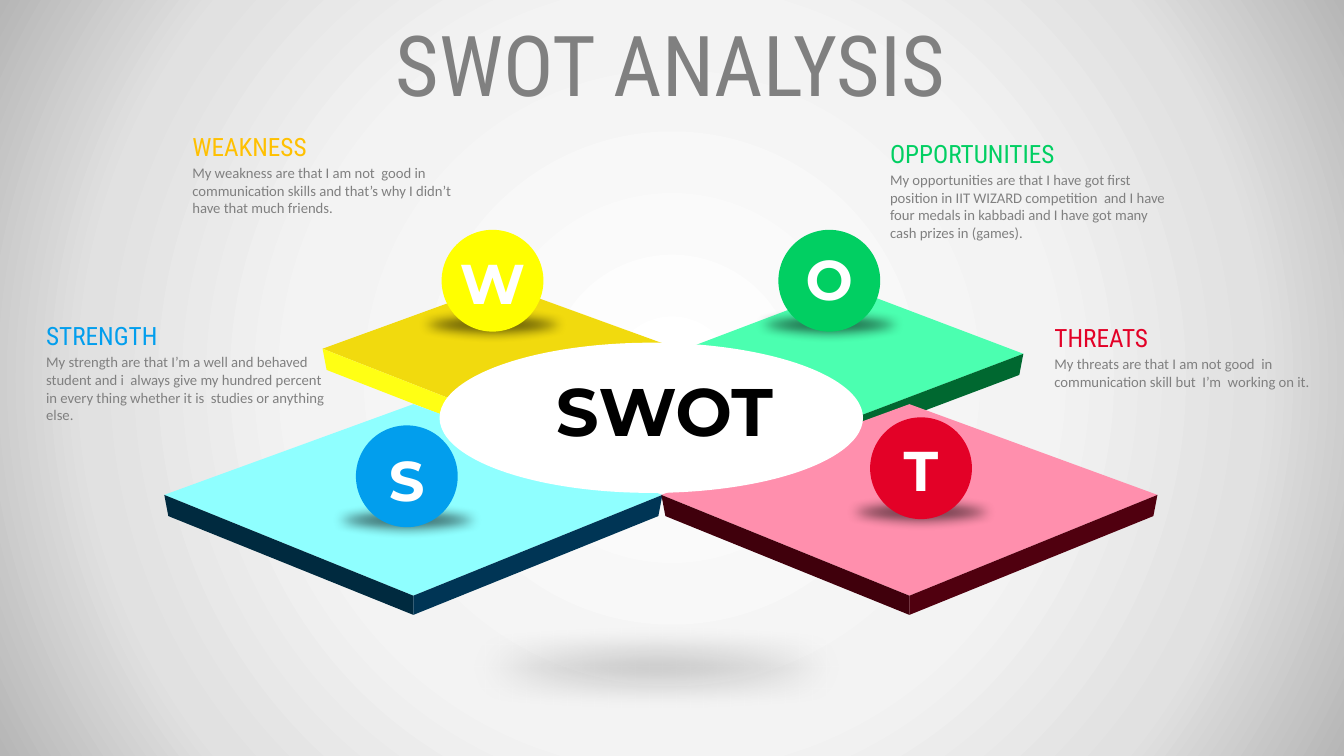
from lxml import etree
from pptx import Presentation
from pptx import util as u
from pptx.dml.color import RGBColor
from pptx.enum import shapes, text
from pptx.oxml import parse_xml
from pptx.oxml.ns import nsdecls, qn

GRAY = RGBColor(0x80, 0x80, 0x80)
BLACK = RGBColor(0x00, 0x00, 0x00)
WHITE = RGBColor(0xFF, 0xFF, 0xFF)
BLUE = RGBColor(0x02, 0x9E, 0xED)
YELLOW = RGBColor(0xFF, 0xFF, 0x00)
AMBER = RGBColor(0xFF, 0xC0, 0x00)
GREEN = RGBColor(0x01, 0xCF, 0x62)
RED = RGBColor(0xE3, 0x01, 0x27)
GOLD_TOP = RGBColor(0xF1, 0xDA, 0x0E)
YELLOW_SIDE = RGBColor(0xFF, 0xFF, 0x14)
MINT_TOP = RGBColor(0x4B, 0xFF, 0xB0)
GREEN_SIDE = RGBColor(0x00, 0x68, 0x30)
CYAN_TOP = RGBColor(0x8F, 0xFF, 0xFF)
NAVY_LEFT = RGBColor(0x00, 0x2A, 0x3F)
NAVY_RIGHT = RGBColor(0x00, 0x35, 0x55)
PINK_TOP = RGBColor(0xFF, 0x8F, 0xAD)
MAROON_LEFT = RGBColor(0x40, 0x00, 0x0C)
MAROON_RIGHT = RGBColor(0x50, 0x00, 0x0F)

presentation = Presentation()
presentation.slide_width, presentation.slide_height = u.Inches(13.33), u.Inches(7.5)
slide = presentation.slides.add_slide(presentation.slide_layouts[6])

# Grid: 75 rows, square cells
CELL = presentation.slide_height // 75


def add_ellipse(left, top, width, height, color, alpha=None, soft_edge=0):
    shape = slide.shapes.add_shape(
        shapes.MSO_SHAPE.OVAL, *[round(n * CELL) for n in (left, top, width, height)])
    shape.shadow.inherit = False
    shape.fill.solid()
    shape.fill.fore_color.rgb = color
    shape.line.fill.background()
    properties = shape.element.spPr
    if alpha:
        fill_color = properties.find(".//" + qn("a:srgbClr"))
        etree.SubElement(fill_color, qn("a:alpha"), val=str(alpha * 1000))
    if soft_edge:
        effects = properties.find(qn("a:effectLst"))
        etree.SubElement(effects, qn("a:softEdge"), rad=str(u.Pt(soft_edge)))


def add_text(words, left, top, width, height, font="Calibri", size=10.5,
             color=GRAY, bold=False, align=text.PP_ALIGN.LEFT):
    box = slide.shapes.add_textbox(*[round(n * CELL) for n in (left, top, width, height)])
    box.text_frame.word_wrap = True
    paragraph = box.text_frame.paragraphs[0]
    paragraph.text = words
    paragraph.alignment = align
    paragraph.font.name = font
    paragraph.font.size = u.Pt(size)
    paragraph.font.bold = bold
    paragraph.font.color.rgb = color


# Radial background
slide.background.fill.solid()
background = slide.element.find(".//" + qn("p:bgPr"))
stops = "".join(
    f'<a:gs pos="{position * 1000}"><a:srgbClr val="{color}"/></a:gs>'
    for position, color in [(0, "FFFFFF"), (48, "F3F3F3"), (76, "E1E1E1"), (100, "B6B6B6")])
background.replace(background[0], parse_xml(
    f'<a:gradFill {nsdecls("a")} rotWithShape="1"><a:gsLst>{stops}</a:gsLst>'
    '<a:path path="circle"><a:fillToRect l="50000" t="50000" r="50000" b="50000"/></a:path>'
    '</a:gradFill>'))

# Floor shadow
add_ellipse(32, 61.9, 66.1, 8.6, BLACK, alpha=37, soft_edge=25)

# Tilted tiles: centre, half width, top, middle, bottom, face colours
INSET, DEPTH = 0.4, 2.1
TILES = [
    (84.1, 17.4, 28.5, 35.1, 41.7, MINT_TOP, GREEN_SIDE, GREEN_SIDE),
    (49.6, 17.6, 28.2, 34.6, 41.5, GOLD_TOP, YELLOW_SIDE, YELLOW_SIDE),
    (41.0, 24.7, 40.1, 49.1, 59.1, CYAN_TOP, NAVY_LEFT, NAVY_RIGHT),
    (90.2, 24.6, 40.1, 49.1, 59.1, PINK_TOP, MAROON_LEFT, MAROON_RIGHT),
]
for center, half, top, middle, bottom, top_color, left_color, right_color in TILES:
    faces = [(top_color, [(center - half, middle), (center, top),
                          (center + half, middle), (center, bottom)])]
    for side, color in [(-1, left_color), (1, right_color)]:
        faces.append((color, [(center + side * half, middle), (center, bottom),
                              (center, bottom + DEPTH - 0.2),
                              (center + side * (half - INSET), middle + DEPTH)]))
    for color, corners in faces:
        points = [(x * CELL, y * CELL) for x, y in corners]
        builder = slide.shapes.build_freeform(*points[0])
        builder.add_line_segments(points[1:], close=True)
        shape = builder.convert_to_shape()
        shape.shadow.inherit = False
        shape.fill.solid()
        shape.fill.fore_color.rgb = color
        shape.line.fill.background()

# Central ellipse
add_ellipse(43.6, 34, 42, 14.9, WHITE)

# Lettered balls: letter, left, top, letter drop, colour
BALL = 10.1
BALLS = [
    ("S", 35.3, 42.2, 1.5, BLUE),
    ("W", 43.8, 22.8, 1.4, YELLOW),
    ("O", 77.2, 22.8, 1.0, GREEN),
    ("T", 86.3, 41.4, 1.3, RED),
]
for letter, left, top, drop, color in BALLS:
    add_ellipse(left - 4.4, top + 7.5, 18.9, 3.8, BLACK, alpha=56, soft_edge=8)
for letter, left, top, drop, color in BALLS:
    add_ellipse(left, top, BALL, BALL, color)
    add_text(letter, left, top + drop, BALL, 7.7, font="Montserrat", size=40,
             color=WHITE, bold=True, align=text.PP_ALIGN.CENTER)
add_text("SWOT", 53.1, 36.1, 25.6, 9.1, font="Montserrat", size=48,
         color=BLACK, bold=True, align=text.PP_ALIGN.CENTER)

# Headings with their notes
NOTES = [
    ("STRENGTH", 3.6, 31.3, BLUE,
     "My strength are that I’m a well and behaved student and i  always give my "
     "hundred percent in every thing whether it is  studies or anything else."),
    ("WEAKNESS", 18.1, 12.5, AMBER,
     "My weakness are that I am not  good in communication skills and that’s why "
     "I didn’t have that much friends."),
    ("OPPORTUNITIES", 87.3, 13.2, GREEN,
     "My opportunities are that I have got first position in IIT WIZARD competition  "
     "and I have four medals in kabbadi and I have got many cash prizes in (games)."),
    ("THREATS", 103.6, 31.5, RED,
     "My threats are that I am not good  in communication skill but  I’m  working on it."),
]
for heading, left, top, color, note in NOTES:
    add_text(heading, left, top, 27.4, 4, font="Roboto Condensed", size=18, color=color)
    add_text(note, left, top + 3.25, 30, 9.8)

# Title
add_text("SWOT ANALYSIS", 37.3, 0.7, 58.4, 11.1, font="Roboto Condensed", size=60,
         align=text.PP_ALIGN.CENTER)

presentation.save("out.pptx")
